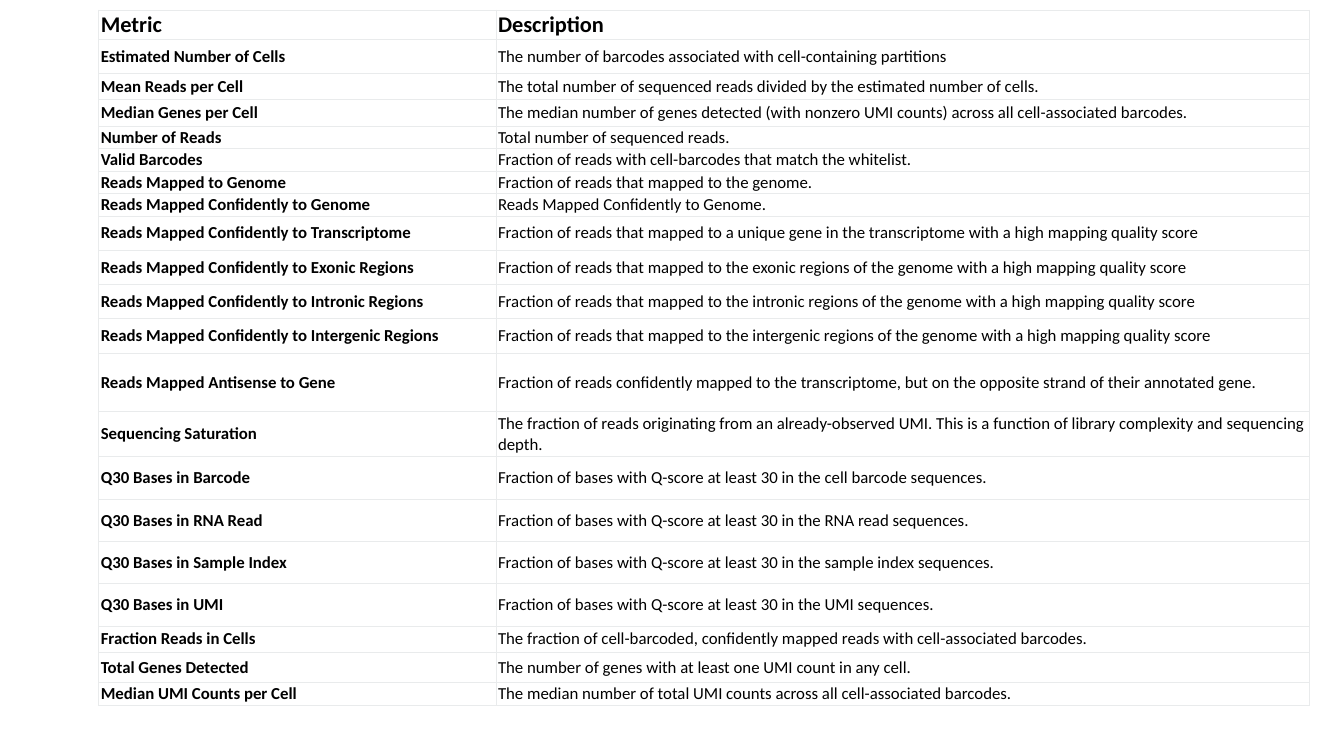
from lxml.etree import SubElement
from pptx import Presentation
from pptx.dml.color import RGBColor
from pptx.enum.text import MSO_ANCHOR
from pptx.oxml.ns import qn
from pptx.util import Inches, Pt

BORDER = "E9EBEC"
TEXT = "000000"
COLUMN_WIDTHS = (3.94, 8.07)
METRICS = [
    (0.1, "Metric", "Description"),
    (0.34, "Estimated Number of Cells",
     "The number of barcodes associated with cell-containing partitions"),
    (0.26, "Mean Reads per Cell",
     "The total number of sequenced reads divided by the estimated number of cells."),
    (0.26, "Median Genes per Cell",
     "The median number of genes detected (with nonzero UMI counts) across all cell-associated barcodes."),
    (0.1, "Number of Reads", "Total number of sequenced reads."),
    (0.18, "Valid Barcodes",
     "Fraction of reads with cell-barcodes that match the whitelist."),
    (0.18, "Reads Mapped to Genome", "Fraction of reads that mapped to the genome."),
    (0.1, "Reads Mapped Confidently to Genome", "Reads Mapped Confidently to Genome."),
    (0.34, "Reads Mapped Confidently to Transcriptome",
     "Fraction of reads that mapped to a unique gene in the transcriptome with a high mapping quality score"),
    (0.34, "Reads Mapped Confidently to Exonic Regions",
     "Fraction of reads that mapped to the exonic regions of the genome with a high mapping quality score"),
    (0.34, "Reads Mapped Confidently to Intronic Regions",
     "Fraction of reads that mapped to the intronic regions of the genome with a high mapping quality score"),
    (0.34, "Reads Mapped Confidently to Intergenic Regions",
     "Fraction of reads that mapped to the intergenic regions of the genome with a high mapping quality score"),
    (0.58, "Reads Mapped Antisense to Gene",
     "Fraction of reads confidently mapped to the transcriptome, but on the opposite strand of their annotated gene."),
    (0.45, "Sequencing Saturation",
     "The fraction of reads originating from an already-observed UMI. "
     "This is a function of library complexity and sequencing depth."),
    (0.42, "Q30 Bases in Barcode",
     "Fraction of bases with Q-score at least 30 in the cell barcode sequences."),
    (0.42, "Q30 Bases in RNA Read",
     "Fraction of bases with Q-score at least 30 in the RNA read sequences."),
    (0.42, "Q30 Bases in Sample Index",
     "Fraction of bases with Q-score at least 30 in the sample index sequences."),
    (0.42, "Q30 Bases in UMI",
     "Fraction of bases with Q-score at least 30 in the UMI sequences."),
    (0.26, "Fraction Reads in Cells",
     "The fraction of cell-barcoded, confidently mapped reads with cell-associated barcodes."),
    (0.3, "Total Genes Detected",
     "The number of genes with at least one UMI count in any cell."),
    (0.18, "Median UMI Counts per Cell",
     "The median number of total UMI counts across all cell-associated barcodes."),
]
CELL_FORMAT = {
    "margin_left": Inches(0.02), "margin_right": Inches(0.02),
    "margin_top": Inches(0.01), "margin_bottom": Inches(0.01),
    "vertical_anchor": MSO_ANCHOR.MIDDLE,
}


def color(hex_value):
    """Turn a hex string into a colour."""
    return RGBColor.from_string(hex_value)


def add_borders(cell):
    """Draw a thin line on all four sides of a cell."""
    properties = cell._tc.get_or_add_tcPr()
    for side in ("a:lnL", "a:lnR", "a:lnT", "a:lnB"):
        line = SubElement(properties, qn(side), w=str(Pt(0.75)))
        fill = SubElement(line, qn("a:solidFill"))
        SubElement(fill, qn("a:srgbClr"), val=BORDER)


def write_cell(cell, wording, size, bold):
    """Write and format one cell."""
    for name, value in CELL_FORMAT.items():
        setattr(cell, name, value)
    add_borders(cell)
    cell.fill.background()
    run = cell.text_frame.paragraphs[0].add_run()
    run.text = wording
    for name, value in {"name": "Calibri", "size": Pt(size), "bold": bold}.items():
        setattr(run.font, name, value)
    run.font.color.rgb = color(TEXT)


def add_metrics_table(slide, left, top, width, height):
    """Place the table of metrics and their descriptions in the given box."""
    frame = slide.shapes.add_table(
        len(METRICS), len(COLUMN_WIDTHS),
        Inches(left), Inches(top), Inches(width), Inches(height))
    table = frame.table
    table.horz_banding = False
    table.first_row = False
    for column, share in zip(table.columns, COLUMN_WIDTHS):
        column.width = Inches(width * share / sum(COLUMN_WIDTHS))
    for index, (row_height, *wordings) in enumerate(METRICS):
        table.rows[index].height = Inches(row_height)
        is_header = index == 0
        for position, wording in enumerate(wordings):
            write_cell(table.cell(index, position), wording,
                       16 if is_header else 12, is_header or position == 0)
    frame.height = Inches(height)


def main():
    """Build the slide and save it."""
    deck = Presentation()
    deck.slide_width = Inches(13.33)
    deck.slide_height = Inches(7.5)
    slide = deck.slides.add_slide(deck.slide_layouts[6])
    add_metrics_table(slide, 0.98, 0.1, 12.01, 6.88)
    deck.save("out.pptx")


if __name__ == "__main__":
    main()
